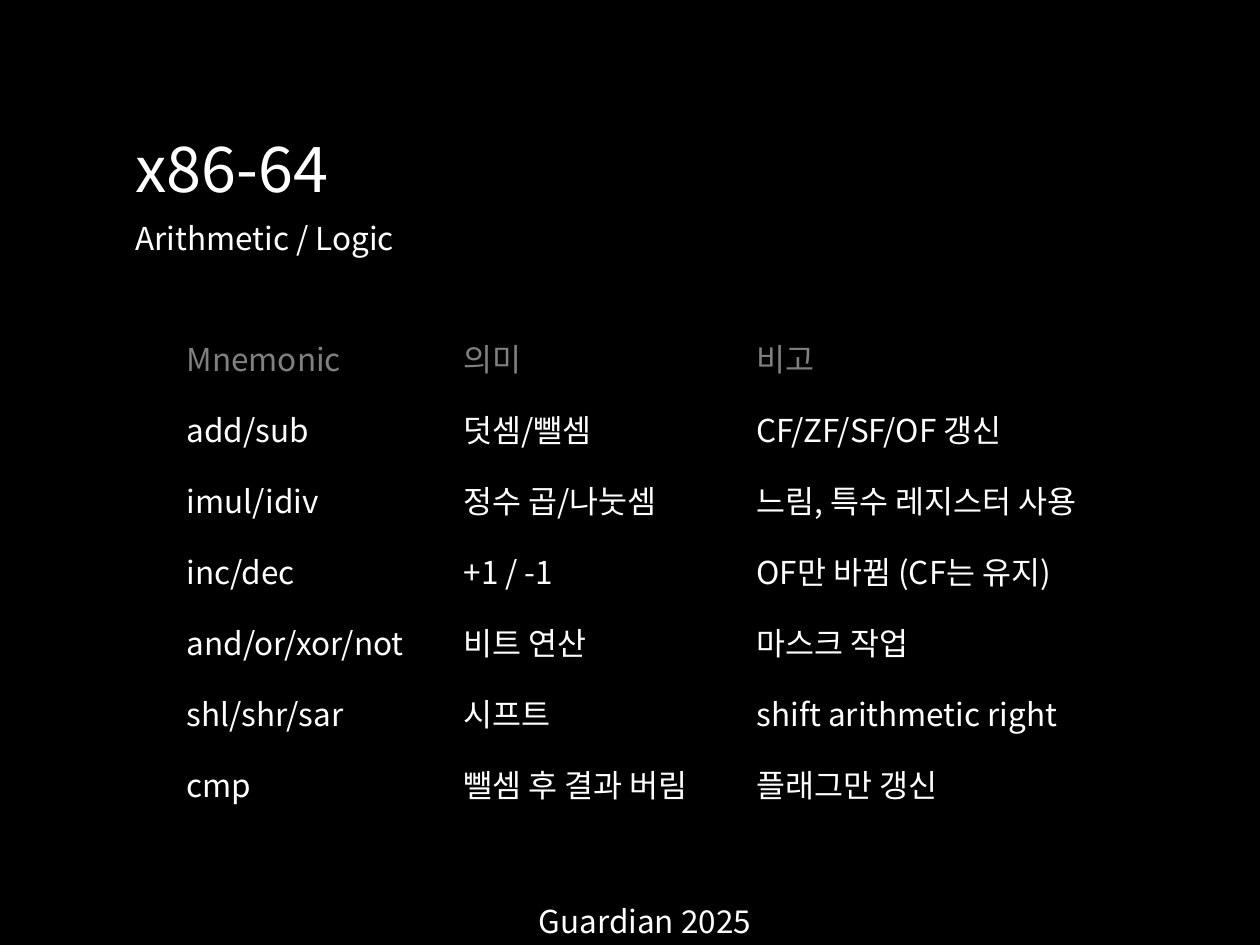
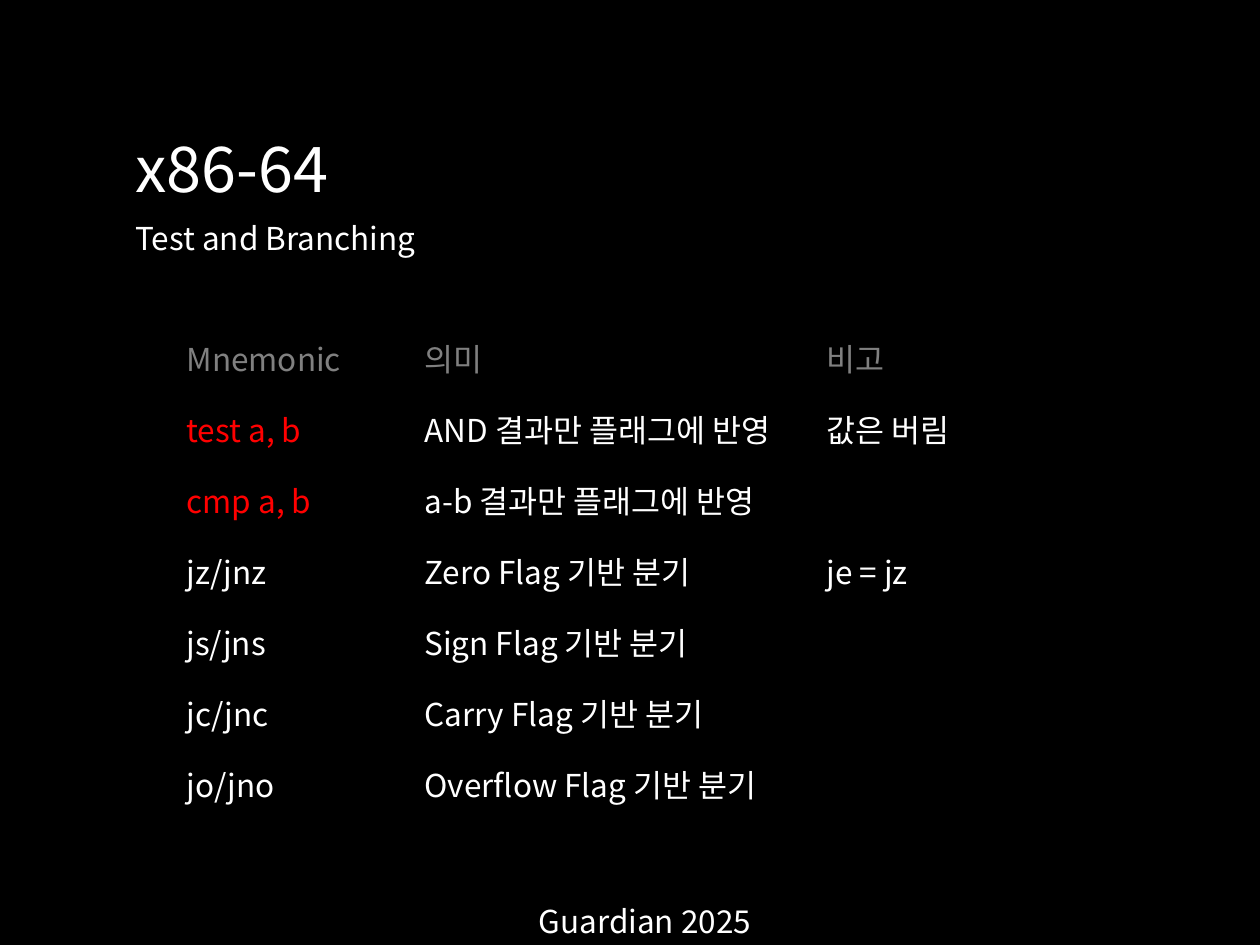
from lxml import etree
from pptx import Presentation
from pptx.dml.color import RGBColor
from pptx.enum.text import MSO_ANCHOR, MSO_AUTO_SIZE, PP_ALIGN
from pptx.oxml.ns import qn
from pptx.util import Pt

GROW = MSO_AUTO_SIZE.SHAPE_TO_FIT_TEXT
MIDDLE = MSO_ANCHOR.MIDDLE
LEFT, CENTER = PP_ALIGN.LEFT, PP_ALIGN.CENTER

SCALE = 914400 / 126
FONT = "Noto Sans CJK KR"
PLAIN = "{2D5ABB26-0587-4C30-8999-92F81FD0307C}"
HEX = {"back": "000000", "text": "FFFFFF", "head": "808080", "mark": "FF0000"}
ROW = 71
HEADS = ("Mnemonic", "의미", "비고")

MATH = (
    ("add/sub", "덧셈/뺄셈", "CF/ZF/SF/OF 갱신"),
    ("imul/idiv", "정수 곱/나눗셈", "느림, 특수 레지스터 사용"),
    ("inc/dec", "+1 / -1", "OF만 바뀜 (CF는 유지)"),
    ("and/or/xor/not", "비트 연산", "마스크 작업"),
    ("shl/shr/sar", "시프트", "shift arithmetic right"),
    ("cmp", "뺄셈 후 결과 버림", "플래그만 갱신"),
)
TESTS = (
    ("test a, b", "AND 결과만 플래그에 반영", "값은 버림"),
    ("cmp a, b", "a-b 결과만 플래그에 반영", ""),
    ("jz/jnz", "Zero Flag 기반 분기", "je = jz"),
    ("js/jns", "Sign Flag 기반 분기", ""),
    ("jc/jnc", "Carry Flag 기반 분기", ""),
    ("jo/jno", "Overflow Flag 기반 분기", ""),
)


def emu(px):
    return round(px * SCALE)


def color(key):
    return RGBColor.from_string(HEX[key])


class Deck:
    """Holds the shared style and the slide being built."""

    def __init__(self):
        self.prs = Presentation()
        self.prs.slide_width, self.prs.slide_height = emu(1260), emu(945)
        fill = self.prs.slide_master.background.fill
        fill.solid()
        fill.fore_color.rgb = color("back")

    def put(self, frame, text, tone="text", size=18, align=LEFT):
        para = frame.paragraphs[0]
        para.alignment = align
        run = para.add_run()
        run.text = text
        for name, value in {"name": FONT, "size": Pt(size)}.items():
            setattr(run.font, name, value)
        run.font.color.rgb = color(tone)
        latin = run.font._element.find(qn("a:latin"))
        latin.addnext(etree.Element(qn("a:ea"), typeface=FONT))

    def text(self, box, text, **style):
        frame = self.slide.shapes.add_textbox(*map(emu, box)).text_frame
        for name, value in {"word_wrap": True, "auto_size": GROW}.items():
            setattr(frame, name, value)
        self.put(frame, text, **style)

    def page(self, topic):
        self.slide = self.prs.slides.add_slide(self.prs.slide_layouts[6])
        self.text((397, 896, 496, 50), "Guardian 2025", align=CENTER)
        self.text((123, 123, 1137, 89), "x86-64", size=36)
        self.text((123, 213, 1137, 50), topic)

    def table(self, widths, rows, marks=()):
        rows = (HEADS, *rows)
        box = (174, 322, sum(widths), ROW * len(rows))
        shape = self.slide.shapes.add_table(
            len(rows), len(widths), *map(emu, box))
        grid = shape.table
        for style in shape._element.iter(qn("a:tableStyleId")):
            style.text = PLAIN
        for col, width in zip(grid.columns, widths):
            col.width = emu(width)
        for r, row in enumerate(rows):
            grid.rows[r].height = emu(ROW)
            for c, text in enumerate(row):
                cell = grid.cell(r, c)
                cell.fill.background()
                cell.vertical_anchor = MIDDLE
                tone = "head" if r == 0 else "mark" if text in marks else "text"
                if text:
                    self.put(cell.text_frame, text, tone)


def main():
    deck = Deck()
    deck.page("Arithmetic / Logic")
    deck.table((277, 293, 373), MATH)
    deck.page("Test and Branching")
    deck.table((238, 402, 303), TESTS, marks=("test a, b", "cmp a, b"))
    deck.prs.save("out.pptx")


if __name__ == "__main__":
    main()
